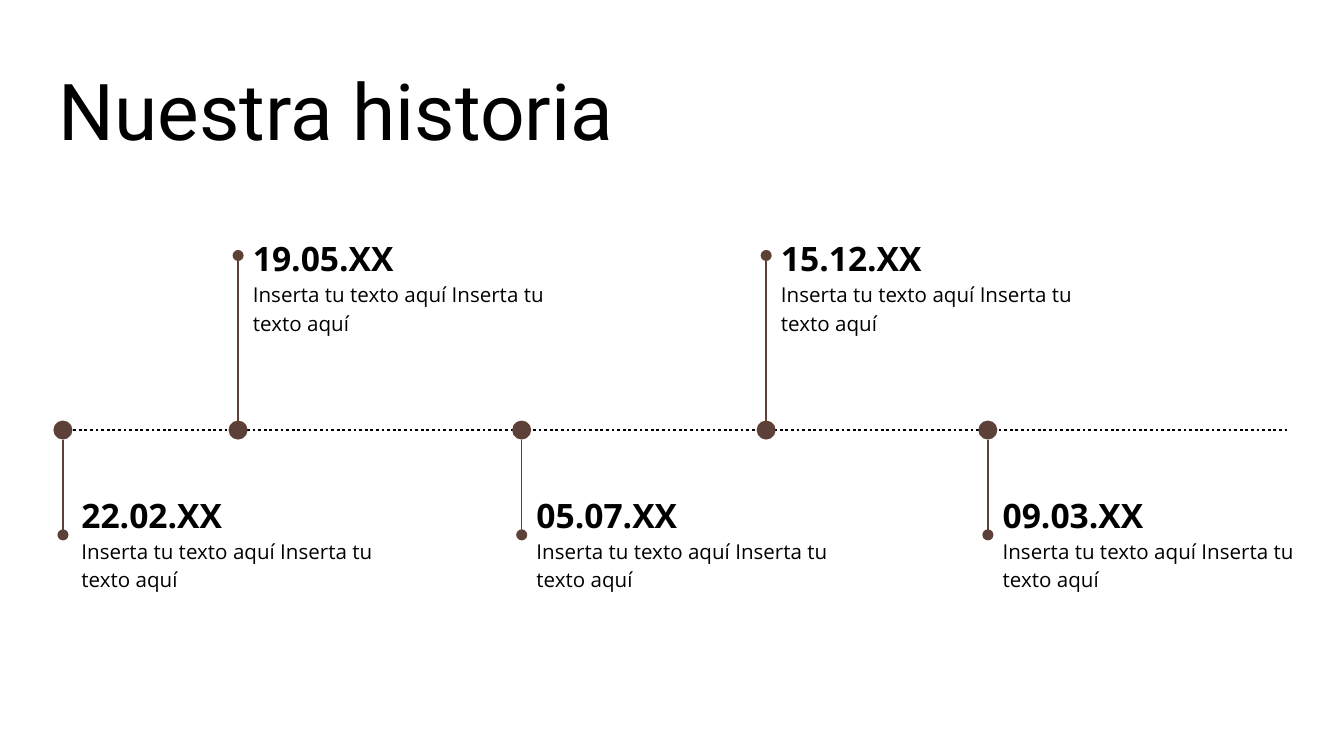
from lxml.etree import SubElement
from pptx import Presentation
from pptx.dml.color import RGBColor
from pptx.enum.dml import MSO_LINE
from pptx.enum.shapes import MSO_CONNECTOR, MSO_SHAPE
from pptx.enum.text import MSO_ANCHOR, MSO_AUTO_SIZE, PP_ALIGN
from pptx.oxml.ns import qn
from pptx.util import Cm, Pt

COLOURS = {"text": "000000", "axis": "000000", "marker": "5D4037"}
MARKER_SIZE = 0.36
CAPTION = "Inserta tu texto aquí Inserta tu texto aquí"
MILESTONES = [
    ("22.02.XX", 1.19, 0.1),
    ("19.05.XX", 4.5, 0.03),
    ("05.07.XX", 9.86, 0.03),
    ("15.12.XX", 14.48, 0.03),
    ("09.03.XX", 18.67, 0.03),
]


def colour(role):
    """Return the colour for a role."""
    return RGBColor.from_string(COLOURS[role])


def prepare_frame(frame, anchor):
    """Set equal insets, wrapping and anchoring of a text frame."""
    frame.auto_size = MSO_AUTO_SIZE.NONE
    frame.word_wrap = True
    frame.vertical_anchor = anchor
    frame.margin_left = frame.margin_right = Cm(0.25)
    frame.margin_top = frame.margin_bottom = Cm(0.25)


def style_paragraph(paragraph, family, size, bold):
    """Left-align a paragraph and format its runs."""
    paragraph.alignment = PP_ALIGN.LEFT
    for run in paragraph.runs:
        run.font.name = family
        run.font.size = Pt(size)
        run.font.bold = bold
        run.font.color.rgb = colour("text")


def add_line(shapes, start, end, role, width):
    """Draw a straight line without shadow between two points in cm."""
    line = shapes.add_connector(MSO_CONNECTOR.STRAIGHT, *map(Cm, start + end))
    line.line.color.rgb = colour(role)
    line.line.width = Pt(width)
    SubElement(line._element.spPr, qn("a:effectLst"))
    return line


def add_title(slide, left, top, width, height):
    """Place the slide title in its box."""
    title = slide.shapes.title
    title.left, title.top = Cm(left), Cm(top)
    title.width, title.height = Cm(width), Cm(height)
    prepare_frame(title.text_frame, MSO_ANCHOR.BOTTOM)
    title.text_frame.text = "Nuestra historia"
    style_paragraph(title.text_frame.paragraphs[0], "Roboto", 42, False)


def add_marker(slide, centre, axis_y, stem_end):
    """Group a dot on the axis with its stem."""
    shapes = slide.shapes.add_group_shape().shapes
    radius = MARKER_SIZE / 2
    dot = shapes.add_shape(
        MSO_SHAPE.OVAL, Cm(centre - radius), Cm(axis_y - radius),
        Cm(MARKER_SIZE), Cm(MARKER_SIZE))
    dot.shadow.inherit = False
    dot.fill.solid()
    dot.fill.fore_color.rgb = colour("marker")
    dot.line.fill.background()
    stem_start = axis_y + (radius if stem_end > axis_y else -radius)
    stem = add_line(shapes, (centre, stem_start), (centre, stem_end), "marker", 0.75)
    outline = stem._element.spPr.find(qn("a:ln"))
    SubElement(outline, qn("a:tailEnd"), type="oval")


def add_caption(slide, date, left, top, width, height):
    """Write a date and its description in a box."""
    caption = slide.shapes.add_textbox(Cm(left), Cm(top), Cm(width), Cm(height))
    frame = caption.text_frame
    prepare_frame(frame, MSO_ANCHOR.TOP)
    frame.text = f"{date}\n{CAPTION}"
    for paragraph, size, bold in zip(frame.paragraphs, (18, 11), (True, False)):
        paragraph.line_spacing = 1.15
        style_paragraph(paragraph, "Open Sans", size, bold)


def add_timeline(slide, left, top, width, height):
    """Draw the axis and alternate milestones below and above it."""
    axis_y = top + 3.99
    axis = add_line(slide.shapes, (left, axis_y), (left + width, axis_y), "axis", 1.5)
    axis.line.dash_style = MSO_LINE.ROUND_DOT
    for index, (date, centre, gap) in enumerate(MILESTONES):
        above = index % 2 == 1
        caption_height = 3.05 if above else 3.35
        caption_top = top if above else top + height - caption_height
        add_marker(slide, centre, axis_y, axis_y + (-3.3 if above else 1.98))
        add_caption(slide, date, centre + gap, caption_top, 6.05, caption_height)


def main():
    """Build and save the history slide."""
    presentation = Presentation()
    presentation.slide_width, presentation.slide_height = Cm(25.4), Cm(14.29)
    slide = presentation.slides.add_slide(presentation.slide_layouts[5])
    add_title(slide, 0.86, 0.89, 23.67, 2.31)
    add_timeline(slide, 1.17, 4.14, 23.16, 8.2)
    presentation.save("out.pptx")


if __name__ == "__main__":
    main()
